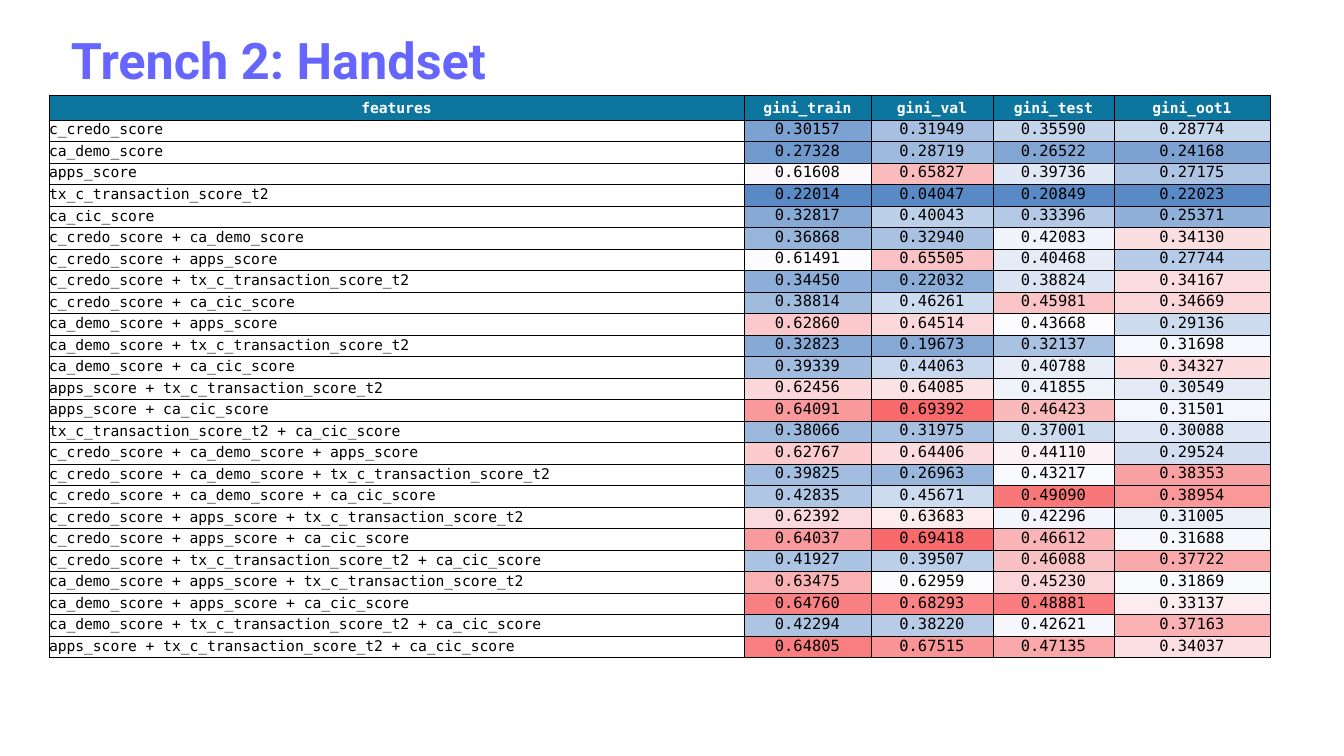
import dataclasses

import lxml.etree
import pptx
import pptx.dml.color
import pptx.enum.text
import pptx.oxml.ns
import pptx.util

EMU_PER_PX = 914400 / 100.8


@dataclasses.dataclass(frozen=True)
class Theme:
    """Colours, fonts and type sizes of the slide."""
    title_color: str = "6666FF"
    header_fill: str = "0C769E"
    header_color: str = "FFFFFF"
    ink: str = "000000"
    low: str = "5A8AC6"
    middle: str = "FCFCFF"
    high: str = "F8696B"
    title_font: str = "Roboto"
    table_font: str = "DejaVu Sans Mono"
    title_size: float = 36
    label_size: float = 10.5
    value_size: float = 11
    border_width: float = 0.5


@dataclasses.dataclass(frozen=True)
class HeatScale:
    """Gini values of one column that take the low, middle and high colours."""
    low: float
    middle: float
    high: float


THEME = Theme()
HEADERS = ["features", "gini_train", "gini_val", "gini_test", "gini_oot1"]
COLUMN_WIDTHS = [695, 127, 122, 121, 156]
HEADER_HEIGHT, ROW_HEIGHT = 25, 18
HEAT_SCALES = [
    HeatScale(low=0.22014, middle=0.61491, high=0.65357),
    HeatScale(low=0.04047, middle=0.62959, high=0.69418),
    HeatScale(low=0.20849, middle=0.43668, high=0.49706),
    HeatScale(low=0.22023, middle=0.3205, high=0.421),
]
SCORES = [
    ("c_credo_score", 0.30157, 0.31949, 0.35590, 0.28774),
    ("ca_demo_score", 0.27328, 0.28719, 0.26522, 0.24168),
    ("apps_score", 0.61608, 0.65827, 0.39736, 0.27175),
    ("tx_c_transaction_score_t2", 0.22014, 0.04047, 0.20849, 0.22023),
    ("ca_cic_score", 0.32817, 0.40043, 0.33396, 0.25371),
    ("c_credo_score + ca_demo_score", 0.36868, 0.32940, 0.42083, 0.34130),
    ("c_credo_score + apps_score", 0.61491, 0.65505, 0.40468, 0.27744),
    ("c_credo_score + tx_c_transaction_score_t2", 0.34450, 0.22032, 0.38824, 0.34167),
    ("c_credo_score + ca_cic_score", 0.38814, 0.46261, 0.45981, 0.34669),
    ("ca_demo_score + apps_score", 0.62860, 0.64514, 0.43668, 0.29136),
    ("ca_demo_score + tx_c_transaction_score_t2", 0.32823, 0.19673, 0.32137, 0.31698),
    ("ca_demo_score + ca_cic_score", 0.39339, 0.44063, 0.40788, 0.34327),
    ("apps_score + tx_c_transaction_score_t2", 0.62456, 0.64085, 0.41855, 0.30549),
    ("apps_score + ca_cic_score", 0.64091, 0.69392, 0.46423, 0.31501),
    ("tx_c_transaction_score_t2 + ca_cic_score", 0.38066, 0.31975, 0.37001, 0.30088),
    ("c_credo_score + ca_demo_score + apps_score", 0.62767, 0.64406, 0.44110, 0.29524),
    ("c_credo_score + ca_demo_score + tx_c_transaction_score_t2", 0.39825, 0.26963, 0.43217, 0.38353),
    ("c_credo_score + ca_demo_score + ca_cic_score", 0.42835, 0.45671, 0.49090, 0.38954),
    ("c_credo_score + apps_score + tx_c_transaction_score_t2", 0.62392, 0.63683, 0.42296, 0.31005),
    ("c_credo_score + apps_score + ca_cic_score", 0.64037, 0.69418, 0.46612, 0.31688),
    ("c_credo_score + tx_c_transaction_score_t2 + ca_cic_score", 0.41927, 0.39507, 0.46088, 0.37722),
    ("ca_demo_score + apps_score + tx_c_transaction_score_t2", 0.63475, 0.62959, 0.45230, 0.31869),
    ("ca_demo_score + apps_score + ca_cic_score", 0.64760, 0.68293, 0.48881, 0.33137),
    ("ca_demo_score + tx_c_transaction_score_t2 + ca_cic_score", 0.42294, 0.38220, 0.42621, 0.37163),
    ("apps_score + tx_c_transaction_score_t2 + ca_cic_score", 0.64805, 0.67515, 0.47135, 0.34037),
]


def px(length):
    """Turn a length in px into EMU."""
    return pptx.util.Emu(round(length * EMU_PER_PX))


def rgb(color):
    """Turn a hex string into a colour."""
    return pptx.dml.color.RGBColor.from_string(color)


def heat_color(value, scale):
    """Blend the theme's low, middle and high colours according to the value."""
    if value <= scale.middle:
        start, end = THEME.low, THEME.middle
        share = (value - scale.low) / (scale.middle - scale.low)
    else:
        start, end = THEME.middle, THEME.high
        share = (value - scale.middle) / (scale.high - scale.middle)
    channels = zip(bytes.fromhex(start), bytes.fromhex(end))
    return "".join(f"{round(a + (b - a) * share):02X}" for a, b in channels)


def style_font(paragraph, name, size, color, bold=False):
    """Set the font of a whole paragraph."""
    font = paragraph.font
    font.name, font.size, font.bold = name, pptx.util.Pt(size), bold
    font.color.rgb = rgb(color)


def add_borders(cell):
    """Draw a thin line on all four sides of a cell."""
    properties = cell._tc.get_or_add_tcPr()
    qualified = pptx.oxml.ns.qn
    for side in ("a:lnL", "a:lnR", "a:lnT", "a:lnB"):
        line = lxml.etree.SubElement(properties, qualified(side))
        line.set("w", str(pptx.util.Pt(THEME.border_width)))
        fill = lxml.etree.SubElement(line, qualified("a:solidFill"))
        lxml.etree.SubElement(fill, qualified("a:srgbClr")).set("val", THEME.ink)


def fill_cell(cell, text, size, color=THEME.ink, bold=False, fill=None, centered=True):
    """Write one table cell with its borders and fill."""
    add_borders(cell)
    if fill:
        cell.fill.solid()
        cell.fill.fore_color.rgb = rgb(fill)
    else:
        cell.fill.background()
    cell.margin_left = cell.margin_right = cell.margin_top = 0
    cell.margin_bottom = px(3)
    cell.vertical_anchor = pptx.enum.text.MSO_ANCHOR.BOTTOM
    cell.text = text
    paragraph = cell.text_frame.paragraphs[0]
    alignment = pptx.enum.text.PP_ALIGN
    paragraph.alignment = alignment.CENTER if centered else alignment.LEFT
    style_font(paragraph, THEME.table_font, size, color, bold)


def add_title(slide, text, left, top, width, height):
    """Place the slide title in the given box."""
    shape = slide.shapes.add_textbox(px(left), px(top), px(width), px(height))
    shape.text_frame.word_wrap = True
    shape.text_frame.text = text
    style_font(shape.text_frame.paragraphs[0], THEME.title_font, THEME.title_size, THEME.title_color, True)


def add_score_table(slide, left, top, width, height):
    """Place the heat-mapped score table in the given box."""
    shape = slide.shapes.add_table(
        len(SCORES) + 1, len(HEADERS), px(left), px(top), px(width), px(height))
    table = shape.table
    table.first_row = table.horz_banding = False
    for column, share in zip(table.columns, COLUMN_WIDTHS):
        column.width = px(width * share / sum(COLUMN_WIDTHS))
    for index, row in enumerate(table.rows):
        row.height = px(ROW_HEIGHT if index else HEADER_HEIGHT)
    shape.height = px(height)
    for index, header in enumerate(HEADERS):
        fill_cell(table.cell(0, index), header, THEME.label_size,
                  THEME.header_color, True, THEME.header_fill)
    for row_index, (features, *values) in enumerate(SCORES, 1):
        fill_cell(table.cell(row_index, 0), features, THEME.label_size, centered=False)
        for column_index, (value, scale) in enumerate(zip(values, HEAT_SCALES), 1):
            fill_cell(table.cell(row_index, column_index), f"{value:.5f}",
                      THEME.value_size, fill=heat_color(value, scale))


def main():
    """Build and save the presentation."""
    presentation = pptx.Presentation()
    presentation.slide_width, presentation.slide_height = px(1344), px(756)
    slide = presentation.slides.add_slide(presentation.slide_layouts[6])
    add_title(slide, "Trench 2: Handset", 61, 24, 842, 71)
    add_score_table(slide, 49, 95, 1221, 565)
    presentation.save("out.pptx")


if __name__ == "__main__":
    main()
